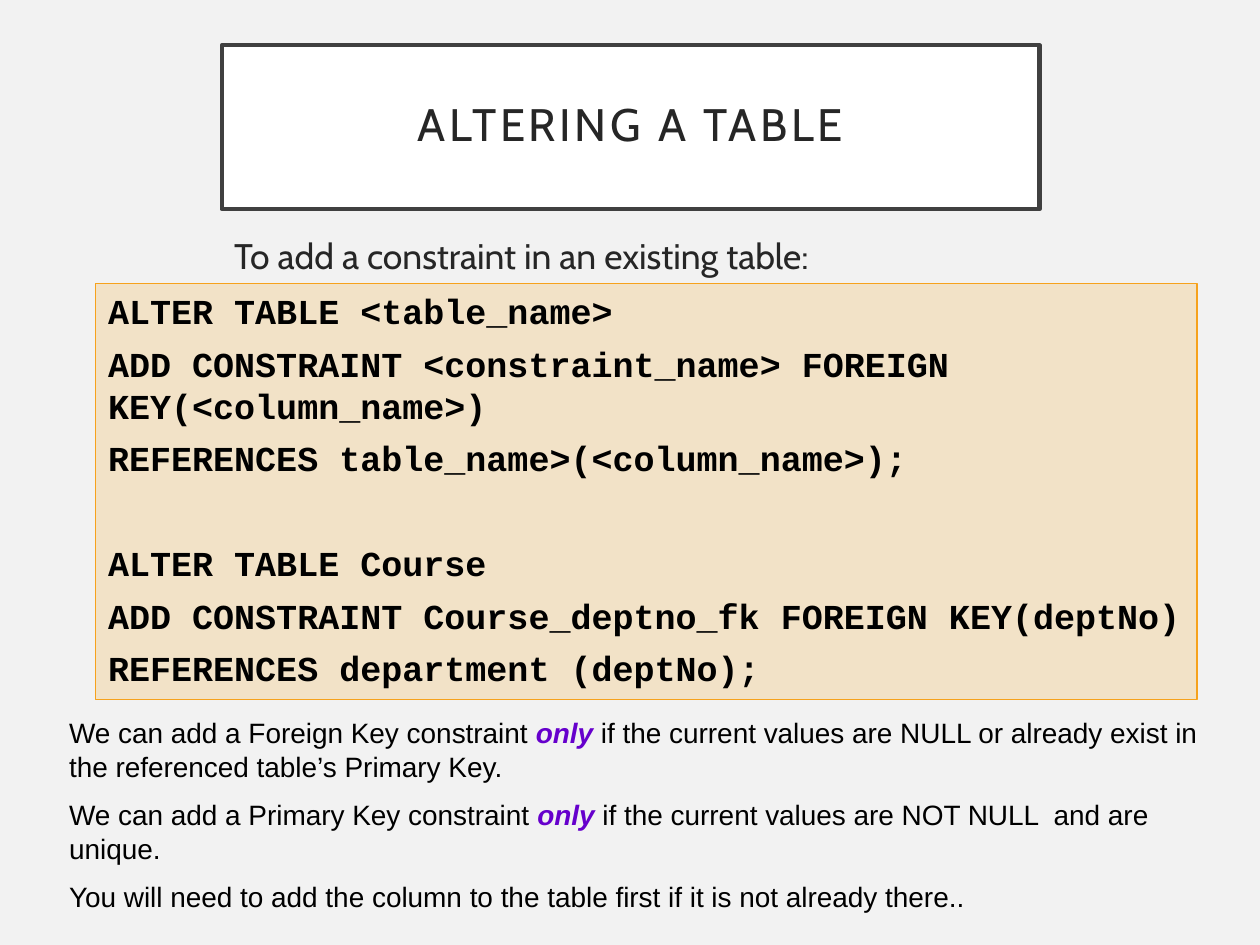
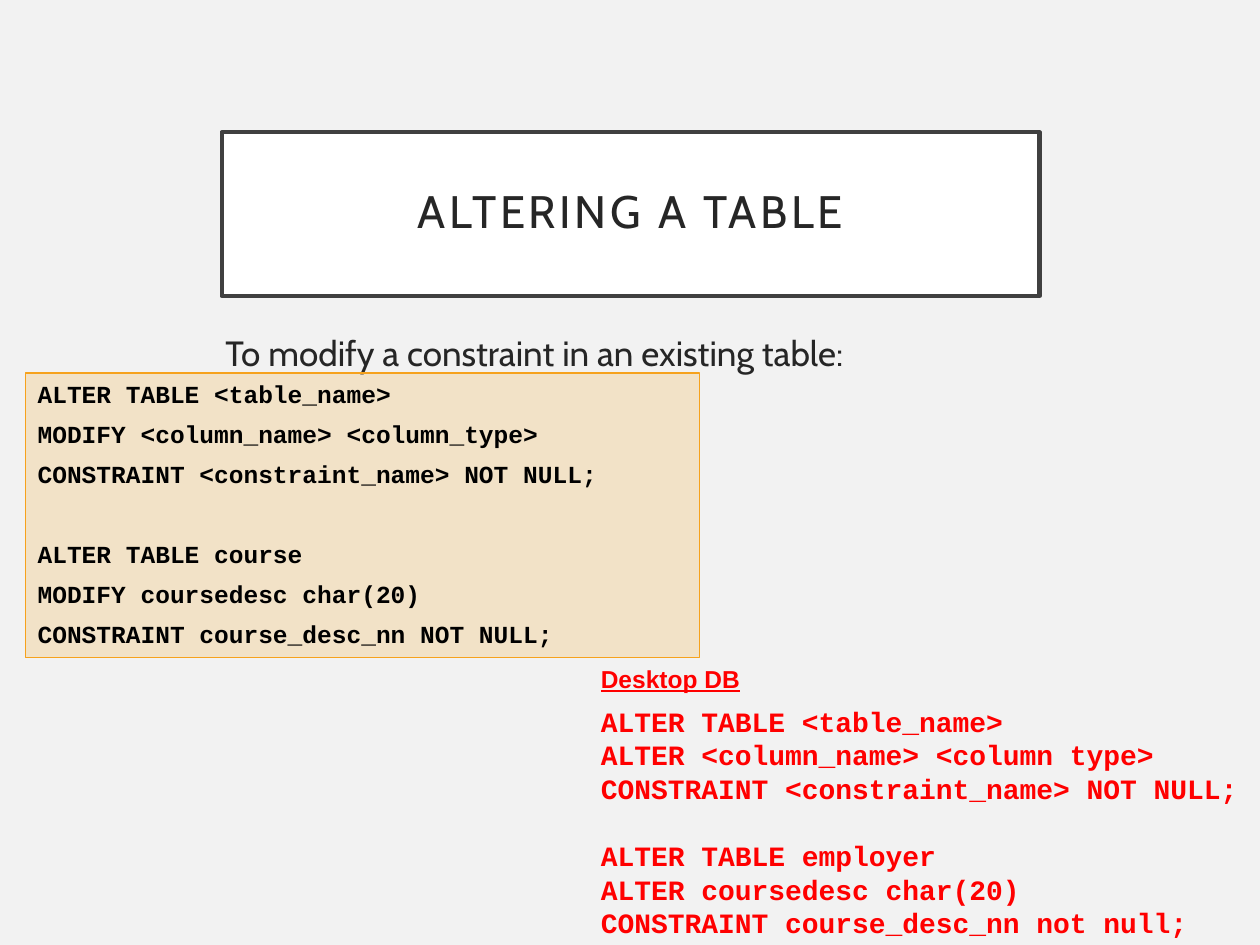
"""Builds two slides on altering table constraints in SQL."""
from dataclasses import dataclass

from lxml import etree
from pptx import Presentation
from pptx.dml.color import RGBColor
from pptx.enum import shapes, text
from pptx.oxml import ns
from pptx.util import Inches, Pt

COLORS = {
    "background": "F2F2F2", "white": "FFFFFF", "frame": "404040",
    "heading": "262626", "code": "F6A21D", "black": "000000",
    "emphasis": "6600CC", "alert": "FF0000",
}
LINE_HEIGHT = 1.2


@dataclass(frozen=True)
class Area:
    left: float
    top: float
    width: float
    height: float

    def lengths(self):
        return [Inches(v) for v in (self.left, self.top, self.width, self.height)]


@dataclass(frozen=True)
class Style:
    font: str
    size: float
    color: str
    bold: bool = False
    italic: bool = False
    underline: bool = False


@dataclass(frozen=True)
class Listing:
    area: Area
    style: Style
    statements: tuple
    space_after: float = 0


def rgb(name: str) -> RGBColor:
    return RGBColor.from_string(COLORS[name])


def style_run(run, style: Style) -> None:
    font = run.font
    font.name, font.size = style.font, Pt(style.size)
    font.bold, font.italic, font.underline = style.bold, style.italic, style.underline
    font.color.rgb = rgb(style.color)


def add_box(slide, area: Area, fill: str, line: str, width: float):
    box = slide.shapes.add_shape(shapes.MSO_SHAPE.RECTANGLE, *area.lengths())
    box.shadow.inherit = False
    box.fill.solid()
    box.fill.fore_color.rgb = rgb(fill)
    box.line.color.rgb = rgb(line)
    box.line.width = Pt(width)
    return box


def add_text(slide, area: Area):
    frame = slide.shapes.add_textbox(*area.lengths()).text_frame
    frame.word_wrap = True
    return frame


def add_title(slide, top: float) -> None:
    box = add_box(slide, Area(1.76, top, 6.49, 1.3), "white", "frame", 2.5)
    frame = box.text_frame
    frame.text = "ALTERING A TABLE"
    frame.vertical_anchor = text.MSO_ANCHOR.MIDDLE
    heading = frame.paragraphs[0]
    heading.alignment = text.PP_ALIGN.CENTER
    heading.line_spacing = 0.9
    style_run(heading.runs[0], Style("Cabin", 26, "heading"))
    heading.runs[0].font._element.set("spc", "200")


def add_line(slide, area: Area, words: str, style: Style, spacing: float = 1) -> None:
    frame = add_text(slide, area)
    frame.text = words
    frame.paragraphs[0].line_spacing = spacing
    style_run(frame.paragraphs[0].runs[0], style)


def write_code(frame, listing: Listing) -> None:
    """Writes the statements with one line of space between them."""
    frame.text = "\n".join(line for lines in listing.statements for line in lines)
    frame.vertical_anchor = text.MSO_ANCHOR.TOP
    starts, count = set(), 0
    for lines in listing.statements:
        starts.add(count)
        count += len(lines)
    for index, paragraph in enumerate(frame.paragraphs):
        paragraph.alignment = text.PP_ALIGN.LEFT
        paragraph.space_after = Pt(listing.space_after)
        if index and index in starts:
            gap = LINE_HEIGHT * listing.style.size + listing.space_after
            paragraph.space_before = Pt(gap)
        style_run(paragraph.runs[0], listing.style)


def add_code_box(slide, listing: Listing) -> None:
    box = add_box(slide, listing.area, "code", "code", 0.75)
    tint = box.fill._xPr.find(ns.qn("a:solidFill"))[0]
    etree.SubElement(tint, ns.qn("a:alpha")).set("val", "20000")
    write_code(box.text_frame, listing)


def add_notes(slide, area: Area, notes: list) -> None:
    """Writes notes whose every second part is emphasised."""
    plain = Style("Arial", 16, "black")
    strong = Style("Arial", 16, "emphasis", bold=True, italic=True)
    frame = add_text(slide, area)
    for index, parts in enumerate(notes):
        note = frame.add_paragraph() if index else frame.paragraphs[0]
        note.space_before = Pt(8.5 if index else 0)
        for position, part in enumerate(parts):
            run = note.add_run()
            run.text = part
            style_run(run, strong if position % 2 else plain)


def new_slide(deck, title_top: float):
    slide = deck.slides.add_slide(deck.slide_layouts[6])
    slide.background.fill.solid()
    slide.background.fill.fore_color.rgb = rgb("background")
    add_title(slide, title_top)
    return slide


def add_constraint_slide(deck) -> None:
    slide = new_slide(deck, 0.36)
    add_line(slide, Area(1.76, 1.87, 6.5, 0.61),
             "To add a constraint in an existing table:",
             Style("Cabin", 20.3, "heading"), 0.8)
    add_code_box(slide, Listing(
        Area(0.76, 2.25, 8.74, 3.3),
        Style("Courier New", 20, "black", bold=True),
        (("ALTER TABLE <table_name>",
          "ADD CONSTRAINT <constraint_name> FOREIGN KEY(<column_name>)",
          "REFERENCES table_name>(<column_name>);"),
         ("ALTER TABLE Course",
          "ADD CONSTRAINT Course_deptno_fk FOREIGN KEY(deptNo)",
          "REFERENCES department (deptNo);")), 6))
    add_notes(slide, Area(0.45, 5.63, 9.2, 1.73), [
        ("We can add a Foreign Key constraint ", "only",
         " if the current values are NULL or already exist in the referenced "
         "table\u2019s Primary Key."),
        ("We can add a Primary Key constraint ", "only",
         " if the current values are NOT NULL  and are unique."),
        ("You will need to add the column to the table first if it is not "
         "already there..",),
    ])


def modify_constraint_slide(deck) -> None:
    slide = new_slide(deck, 1.05)
    add_line(slide, Area(1.69, 2.58, 6.56, 1.02),
             "To modify a constraint in an existing table:",
             Style("Cabin", 20, "heading"))
    add_code_box(slide, Listing(
        Area(0.2, 2.96, 5.35, 2.26),
        Style("Courier New", 14, "black", bold=True),
        (("ALTER TABLE <table_name>",
          "MODIFY <column_name> <column_type>",
          "CONSTRAINT <constraint_name> NOT NULL;"),
         ("ALTER TABLE course",
          "MODIFY coursedesc char(20)",
          "CONSTRAINT course_desc_nn NOT NULL;")), 6))
    variant = Listing(
        Area(4.67, 5.54, 5.31, 1.99),
        Style("Courier New", 16, "alert", bold=True),
        (("ALTER TABLE <table_name>",
          "ALTER <column_name> <column type>",
          "CONSTRAINT <constraint_name> NOT NULL;"),
         ("ALTER TABLE employer",
          "ALTER coursedesc char(20)",
          "CONSTRAINT course_desc_nn not null;")))
    write_code(add_text(slide, variant.area), variant)
    add_line(slide, Area(4.67, 5.22, 1.57, 0.34), "Desktop DB",
             Style("Arial", 14, "alert", bold=True, underline=True))


def main() -> None:
    deck = Presentation()
    deck.slide_width, deck.slide_height = Inches(10), Inches(7.5)
    add_constraint_slide(deck)
    modify_constraint_slide(deck)
    deck.save("out.pptx")


main()
